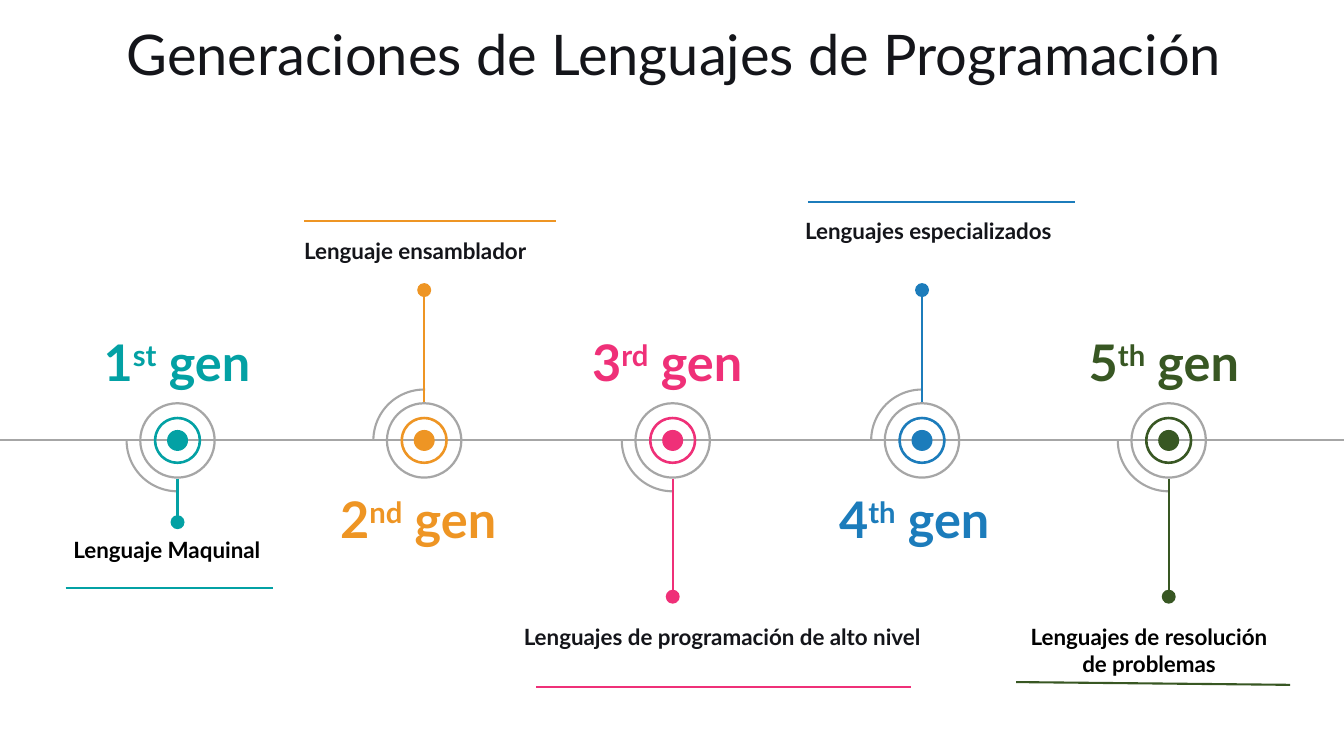
from dataclasses import dataclass

from pptx import Presentation
from pptx.dml.color import RGBColor
from pptx.enum.shapes import MSO_CONNECTOR as Link, MSO_SHAPE as Shape
from pptx.enum.text import MSO_ANCHOR as Anchor, MSO_AUTO_SIZE as Fit, PP_ALIGN as Align
from pptx.oxml.ns import qn
from pptx.util import Pt

# Content: every box is (left, top, width, height) and every rule is
# (start x, start y, end x, end y), in points
TITLE = "Generaciones de Lenguajes de Programación"
TITLE_BOX = (51.1, 10.1, 860.4, 55.4)
GENERATIONS = [
    dict(number="1", suffix="st", color="03A1A4", center=126.8, tip=373,
         name_left=51.1, name_width=150.5,
         label="Lenguaje Maquinal", label_color="000000", align=Align.LEFT,
         label_box=(45.4, 379.4, 162.7, 26.6), rule=(46.8, 419.8, 195.1, 419.8)),
    dict(number="2", suffix="nd", color="EE9524", center=303, tip=207.2,
         name_left=221, name_width=155.5,
         label="Lenguaje ensamblador", label_color="14151A", align=Align.LEFT,
         label_box=(210.2, 165.6, 187.9, 26.6), rule=(217.4, 158, 397.4, 158)),
    dict(number="3", suffix="rd", color="EF3078", center=480.5, tip=426.2,
         name_left=400.3, name_width=152.6,
         label="Lenguajes de programación de alto nivel", label_color="14151A",
         align=Align.CENTER,
         label_box=(365.8, 441.4, 300.2, 46.1), rule=(383, 491, 650.9, 491)),
    dict(number="4", suffix="th", color="1C7CBB", center=658.6, tip=207.2,
         name_left=568.1, name_width=169.9,
         label="Lenguajes especializados", label_color="14151A", align=Align.LEFT,
         label_box=(568.1, 151.9, 211.7, 26.6), rule=(577, 144.4, 768, 144.4)),
    dict(number="5", suffix="th", color="385723", center=834.8, tip=426.2,
         name_left=751, name_width=160.6,
         label="Lenguajes de resolución de problemas", label_color="000000",
         align=Align.CENTER,
         label_box=(720, 441.4, 201.6, 46.1), rule=(725.8, 487.2, 921.6, 489.2)),
]


@dataclass(frozen=True)
class Theme:
    font: str = "Lato"
    title_color: str = "14151A"
    gray: str = "A6A6A6"
    title_size: int = 40
    name_size: int = 36
    label_size: int = 16
    line_width: float = 1.5


THEME = Theme()
PAGE_WIDTH, PAGE_HEIGHT = 960, 540
AXIS_Y = 314.6
ARC_SIZE, OUTER_SIZE, INNER_SIZE, CORE_SIZE, TIP_SIZE = 72.7, 54.7, 33.8, 15, 10
OUTER_RING, INNER_RING = 0.029, 0.053
ARC_ANGLES = (54.204, 108.533)
NAME_ABOVE, NAME_BELOW, NAME_HEIGHT = 233.3, 344.9, 51.1


def add_line(page, start_x, start_y, end_x, end_y, color):
    line = page.shapes.add_connector(
        Link.STRAIGHT, Pt(start_x), Pt(start_y), Pt(end_x), Pt(end_y))
    line.line.color.rgb = RGBColor.from_string(color)
    line.line.width = Pt(THEME.line_width)
    properties = line._element.spPr
    properties.append(properties.makeelement(qn("a:effectLst"), {}))


def add_centered(page, kind, x, y, size):
    shape = page.shapes.add_shape(
        kind, Pt(x - size / 2), Pt(y - size / 2), Pt(size), Pt(size))
    shape.shadow.inherit = False
    return shape


def add_disc(page, x, y, size, color, ring=None):
    disc = add_centered(page, Shape.OVAL if ring is None else Shape.DONUT, x, y, size)
    if ring is not None:
        disc.adjustments[0] = ring
    disc.fill.solid()
    disc.fill.fore_color.rgb = RGBColor.from_string(color)
    disc.line.fill.background()


def add_arc(page, x, rotation):
    arc = add_centered(page, Shape.ARC, x, AXIS_Y, ARC_SIZE)
    for index, angle in enumerate(ARC_ANGLES):
        arc.adjustments[index] = angle
    arc.rotation = rotation
    arc.fill.background()
    arc.line.color.rgb = RGBColor.from_string(THEME.gray)
    arc.line.width = Pt(THEME.line_width)


def style_paragraph(para, size, color, bold, align):
    para.alignment = align
    para.font.name = THEME.font
    para.font.size = Pt(size)
    para.font.bold = bold
    para.font.color.rgb = RGBColor.from_string(color)


def add_text(page, box, pieces, size, color, align):
    frame = page.shapes.add_textbox(*map(Pt, box)).text_frame
    frame.word_wrap = True
    para = frame.paragraphs[0]
    for text, raised in pieces:
        span = para.add_run()
        span.text = text
        if raised:
            span._r.get_or_add_rPr().set("baseline", "30000")
    style_paragraph(para, size, color, True, align)


def add_title(page):
    title = page.shapes.title
    title.left, title.top, title.width, title.height = map(Pt, TITLE_BOX)
    frame = title.text_frame
    frame.text = TITLE
    frame.word_wrap = True
    frame.auto_size = Fit.NONE
    frame.vertical_anchor = Anchor.TOP
    style_paragraph(frame.paragraphs[0], THEME.title_size, THEME.title_color,
                    False, Align.CENTER)


def add_generation(page, gen):
    x, color, tip = gen["center"], gen["color"], gen["tip"]
    points_up = tip < AXIS_Y

    # Marker on the axis
    add_arc(page, x, 90 if points_up else 0)
    add_disc(page, x, AXIS_Y, CORE_SIZE, color)
    add_disc(page, x, AXIS_Y, INNER_SIZE, color, INNER_RING)
    add_disc(page, x, AXIS_Y, OUTER_SIZE, THEME.gray, OUTER_RING)

    # Stem and its tip
    edge = AXIS_Y + OUTER_SIZE / 2 * (-1 if points_up else 1)
    add_line(page, x, edge, x, tip, color)
    add_disc(page, x, tip, TIP_SIZE, color)

    # Generation name, opposite the stem
    name_top = NAME_BELOW if points_up else NAME_ABOVE
    name_box = (gen["name_left"], name_top, gen["name_width"], NAME_HEIGHT)
    pieces = [(gen["number"], False), (gen["suffix"], True), (" gen", False)]
    add_text(page, name_box, pieces, THEME.name_size, color, Align.CENTER)

    # Label and rule
    add_text(page, gen["label_box"], [(gen["label"], False)], THEME.label_size,
             gen["label_color"], gen["align"])
    add_line(page, *gen["rule"], color)


def main():
    deck = Presentation()
    deck.slide_width, deck.slide_height = Pt(PAGE_WIDTH), Pt(PAGE_HEIGHT)
    page = deck.slides.add_slide(deck.slide_layouts.get_by_name("Title Only"))
    add_title(page)
    add_line(page, 0, AXIS_Y, PAGE_WIDTH, AXIS_Y, THEME.gray)
    for gen in GENERATIONS:
        add_generation(page, gen)
    deck.save("out.pptx")


if __name__ == "__main__":
    main()
